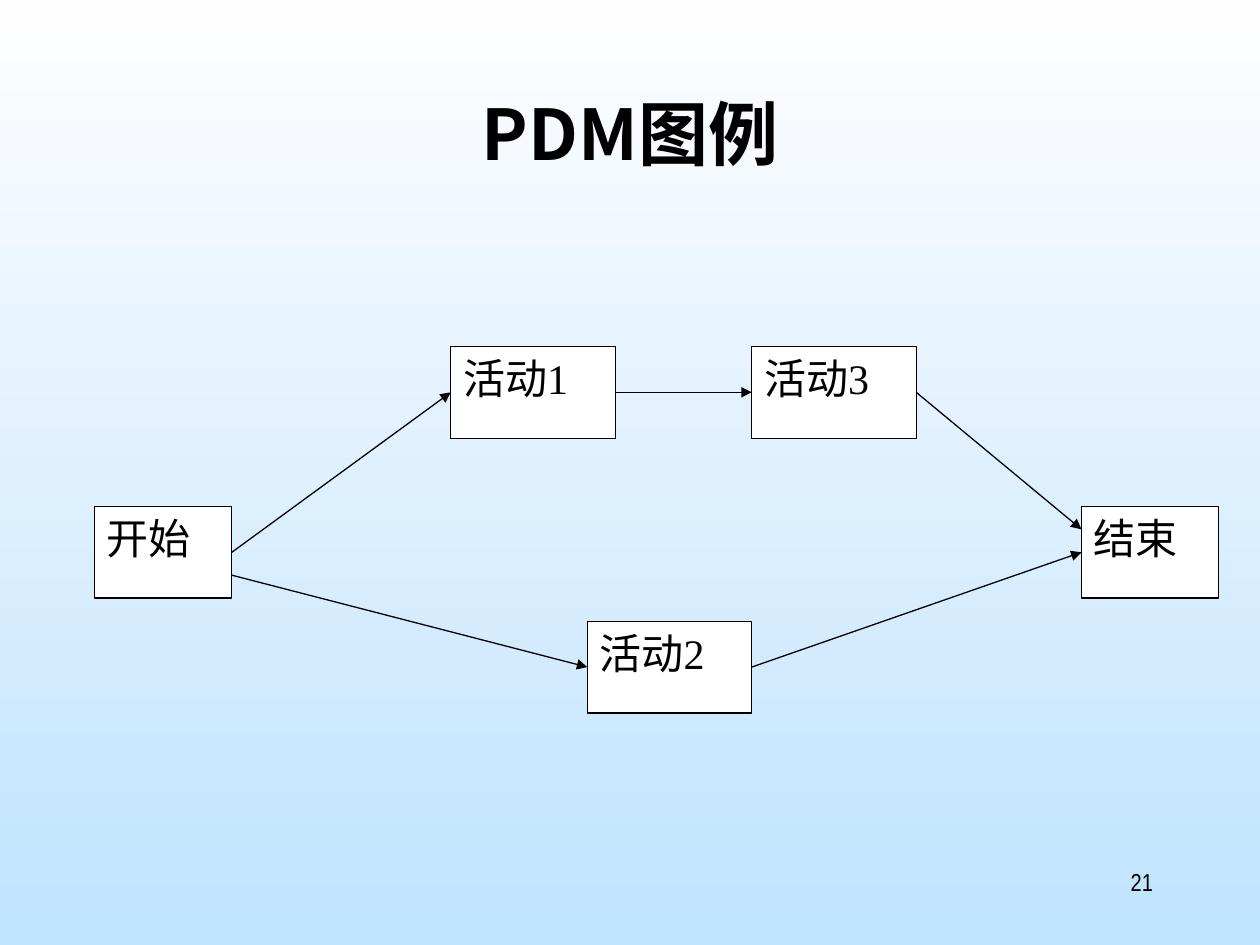
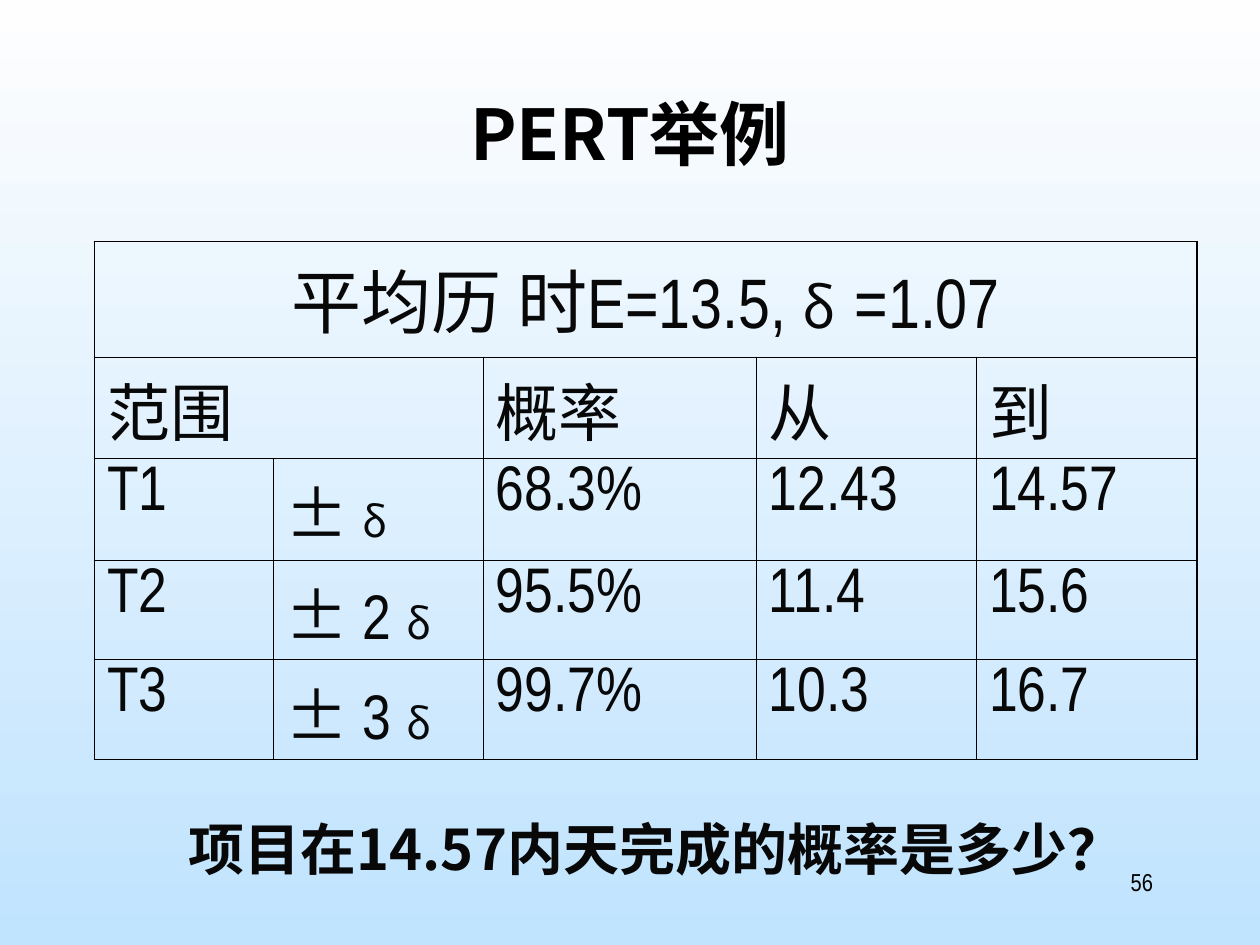
from dataclasses import dataclass

from lxml.etree import SubElement
from pptx import Presentation
from pptx.dml.color import RGBColor
from pptx.enum.shapes import MSO_CONNECTOR as Connector, MSO_SHAPE as Shape
from pptx.enum.text import MSO_ANCHOR as Anchor, MSO_AUTO_SIZE as AutoSize, PP_ALIGN as Align
from pptx.oxml.ns import qn
from pptx.util import Pt


@dataclass(frozen=True)
class Theme:
    black: RGBColor = RGBColor(0, 0, 0)
    ink: RGBColor = RGBColor(8, 8, 8)
    white: RGBColor = RGBColor(255, 255, 255)
    sky_top: RGBColor = RGBColor(0xFE, 0xFE, 0xFE)
    sky_bottom: RGBColor = RGBColor(0xC0, 0xE3, 0xFE)
    sans: str = "Noto Sans CJK SC"
    serif: str = "Times New Roman"
    narrow: str = "Arial Narrow"
    title: int = 40
    question: int = 32
    node: int = 24
    cell: int = 36
    sigma: int = 24
    number: int = 14
    line: float = 0.75
    outer_border: float = 1.08
    inner_border: float = 0.45


@dataclass(frozen=True)
class Box:
    left: float
    top: float
    width: float
    height: float

    def inside(self, left, top, width, height):
        return Box(self.left + left, self.top + top, width, height)

    def lengths(self):
        return [Pt(v) for v in (self.left, self.top, self.width, self.height)]

    def side_point(self, side, share):
        """Point on the left (0) or right (1) side, a share of the way down."""
        return Pt(self.left + side * self.width), Pt(self.top + share * self.height)


THEME = Theme()
TITLE_BOX = Box(54, 48, 612, 90)
NUMBER_BOX = Box(516, 492, 150, 36)
DIAGRAM_BOX = Box(54, 198, 642.5, 209.5)
TABLE_BOX = Box(54, 138, 630, 296)
QUESTION_BOX = Box(66, 462, 618, 46)

# name: (text, left, top, width) within the diagram
NODE_HEIGHT = 52.4
NODES = {
    "start": ("开始", 0, 91.4, 78.5),
    "first": ("活动1", 203.6, 0, 94),
    "third": ("活动3", 375.6, 0, 94),
    "second": ("活动2", 281.6, 157, 94),
    "end": ("结束", 564, 91.4, 78.5),
}
# source, share down its right side, target, share down its left side
ARROWS = [
    ("start", 0.75, "second", 0.5),
    ("start", 0.5, "first", 0.5),
    ("first", 0.5, "third", 0.5),
    ("second", 0.5, "end", 0.5),
    ("third", 0.5, "end", 0.25),
]

COLUMN_WIDTHS = [102, 120, 156, 126, 126]
ROW_HEIGHTS = [66, 58, 58, 57, 57]
SIGMA = ("δ", THEME.sigma, THEME.sans)
HEADING = [
    ("平均历 时E=13.5, ", 40, THEME.narrow),
    ("δ", 32, THEME.sans),
    (" ", 48, THEME.narrow),
    ("=1.07", 40, THEME.narrow),
]
RANGES = [
    ("T1", [("± ", THEME.cell, THEME.sans), SIGMA], "68.3%", "12.43", "14.57"),
    ("T2", [("±", THEME.cell, THEME.sans), (" 2 ", THEME.cell, THEME.narrow), SIGMA],
     "95.5%", "11.4", "15.6"),
    ("T3", [("±", THEME.cell, THEME.sans), (" 3 ", THEME.cell, THEME.narrow), SIGMA],
     "99.7%", "10.3", "16.7"),
]


def write(frame, spans, color, align=Align.LEFT, bold=False):
    """Fill the first paragraph with (text, size, font) spans."""
    para = frame.paragraphs[0]
    para.alignment = align
    para.space_before = Pt(0)
    for text, size, face in spans:
        span = para.add_run()
        span.text = text
        font = span.font
        font.size, font.name, font.bold = Pt(size), face, bold
        font.color.rgb = color
        SubElement(font._element, qn("a:ea")).set("typeface", THEME.sans)


def add_text(page, box, spans, color, align, bold=False):
    frame = page.shapes.add_textbox(*box.lengths()).text_frame
    frame.word_wrap = True
    write(frame, spans, color, align, bold)


def paint_background(master):
    fill = master.background.fill
    fill.gradient()
    fill.gradient_angle = 270
    for stop, color, position in zip(
        fill.gradient_stops, (THEME.sky_top, THEME.sky_bottom), (0, 1)
    ):
        stop.color.rgb = color
        stop.position = position


def add_page(deck, title, number):
    page = deck.slides.add_slide(deck.slide_layouts.get_by_name("Title Only"))
    holder = page.shapes.title
    holder.left, holder.top, holder.width, holder.height = TITLE_BOX.lengths()
    frame = holder.text_frame
    frame.auto_size = AutoSize.NONE
    frame.vertical_anchor = Anchor.TOP
    write(frame, [(title, THEME.title, THEME.sans)], THEME.black, Align.CENTER, True)
    add_text(page, NUMBER_BOX, [(number, THEME.number, THEME.narrow)],
             THEME.black, Align.RIGHT)
    return page


def add_node(page, box, text):
    node = page.shapes.add_shape(Shape.RECTANGLE, *box.lengths())
    node.shadow.inherit = False
    node.fill.solid()
    node.fill.fore_color.rgb = THEME.white
    node.line.color.rgb = THEME.black
    node.line.width = Pt(THEME.line)
    node.text_frame.vertical_anchor = Anchor.TOP
    write(node.text_frame, [(text, THEME.node, THEME.serif)], THEME.black, Align.JUSTIFY)


def add_arrow(page, begin, end):
    arrow = page.shapes.add_connector(Connector.STRAIGHT, *begin, *end)
    arrow.line.color.rgb = THEME.black
    arrow.line.width = Pt(THEME.line)
    SubElement(arrow.line._get_or_add_ln(), qn("a:tailEnd")).set("type", "triangle")
    SubElement(arrow._element.spPr, qn("a:effectLst"))


def add_diagram(page, box):
    boxes = {}
    for name, (text, left, top, width) in NODES.items():
        boxes[name] = box.inside(left, top, width, NODE_HEIGHT)
        add_node(page, boxes[name], text)
    for source, leave, target, arrive in ARROWS:
        add_arrow(page, boxes[source].side_point(1, leave),
                  boxes[target].side_point(0, arrive))


def set_borders(cell, outer_edges):
    """Draw all four borders, heavier where the edge is on the table's outside."""
    properties = cell._tc.get_or_add_tcPr()
    for edge in "LRTB":
        width = THEME.outer_border if edge in outer_edges else THEME.inner_border
        line = SubElement(properties, qn(f"a:ln{edge}"), w=str(Pt(width)))
        paint = SubElement(line, qn("a:solidFill"))
        SubElement(paint, qn("a:srgbClr"), val=str(THEME.black))


def add_range_table(page, box):
    rows, columns = len(ROW_HEIGHTS), len(COLUMN_WIDTHS)
    table = page.shapes.add_table(rows, columns, *box.lengths()).table
    table.first_row = table.horz_banding = False
    for column, width in zip(table.columns, COLUMN_WIDTHS):
        column.width = Pt(width)
    for row, height in zip(table.rows, ROW_HEIGHTS):
        row.height = Pt(height)
    table.cell(0, 0).merge(table.cell(0, columns - 1))
    table.cell(1, 0).merge(table.cell(1, 1))

    contents = [[HEADING], ["范围", None, "概率", "从", "到"], *RANGES]
    for r in range(rows):
        for c in range(columns):
            cell = table.cell(r, c)
            outside = {"L": c == 0, "R": c == columns - 1, "T": r == 0, "B": r == rows - 1}
            if r == 0:
                outside["R"] = True
            set_borders(cell, [edge for edge, is_outer in outside.items() if is_outer])
            cell.fill.background()
            if cell.is_spanned:
                continue
            content = contents[r][c]
            spans = [(content, THEME.cell, THEME.narrow)] if isinstance(content, str) else content
            write(cell.text_frame, spans, THEME.ink, Align.LEFT if r else Align.CENTER)


def main():
    deck = Presentation()
    deck.slide_width, deck.slide_height = Pt(720), Pt(540)
    paint_background(deck.slide_master)

    add_diagram(add_page(deck, "PDM图例", "21"), DIAGRAM_BOX)

    page = add_page(deck, "PERT举例", "56")
    add_range_table(page, TABLE_BOX)
    add_text(page, QUESTION_BOX,
             [("项目在14.57内天完成的概率是多少？", THEME.question, THEME.sans)],
             THEME.ink, Align.CENTER, True)
    deck.save("out.pptx")


if __name__ == "__main__":
    main()
